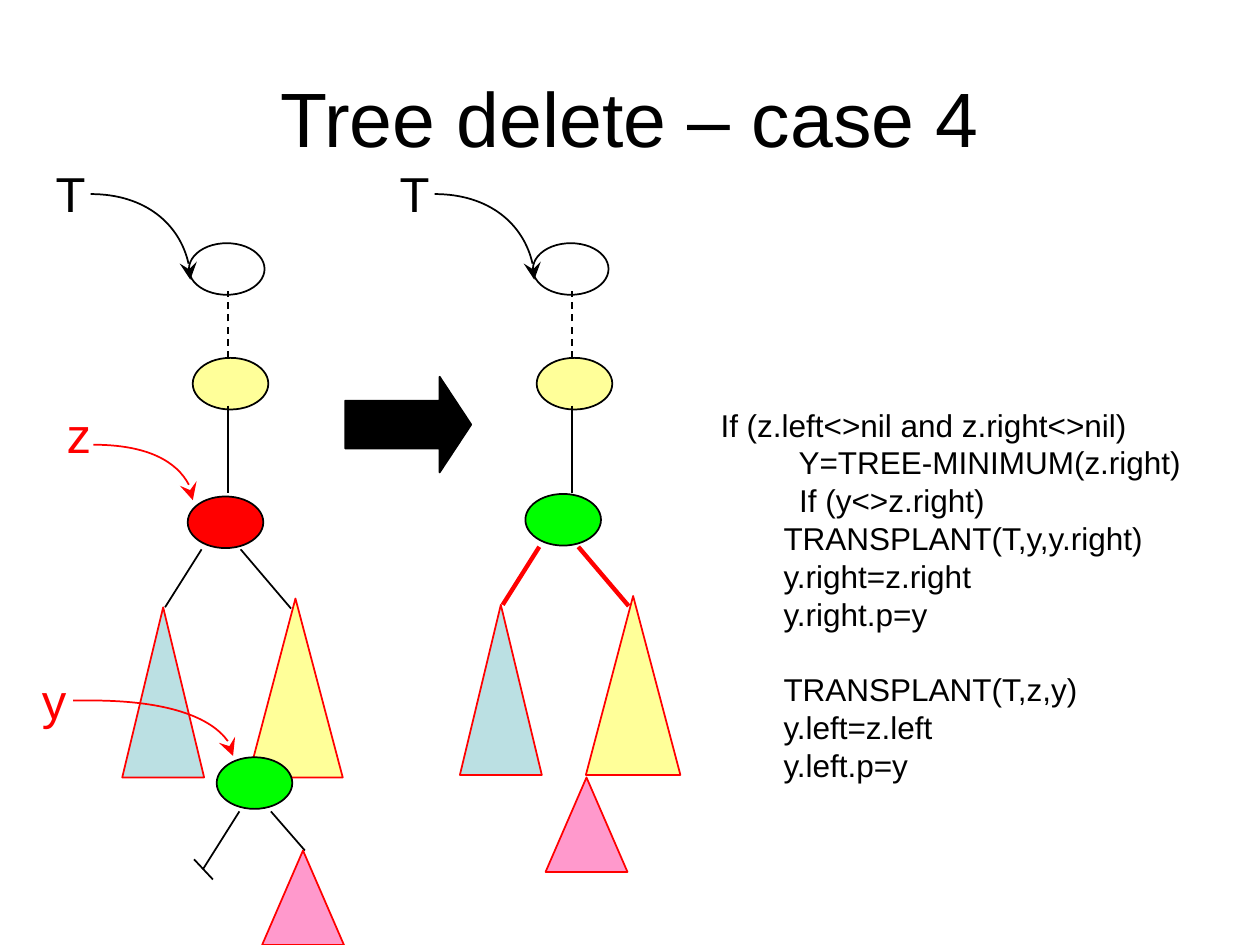
from lxml.etree import SubElement
from pptx import Presentation
from pptx.dml.color import RGBColor
from pptx.enum.dml import MSO_LINE
from pptx.enum.shapes import MSO_CONNECTOR, MSO_SHAPE
from pptx.enum.text import MSO_ANCHOR, MSO_AUTO_SIZE, PP_ALIGN
from pptx.oxml.ns import qn
from pptx.util import Inches, Pt

COLORS = {
    "black": "000000", "red": "FF0000", "yellow": "FFFF99",
    "blue": "BBE0E3", "green": "00FF00", "pink": "FF99CC",
}
TITLE = "Tree delete – case 4"
CODE = [
    "If (z.left<>nil and z.right<>nil)",
    "         Y=TREE-MINIMUM(z.right)",
    "         If (y<>z.right)",
    "      \tTRANSPLANT(T,y,y.right)",
    "\ty.right=z.right",
    "\ty.right.p=y",
    "",
    "\tTRANSPLANT(T,z,y)",
    "\ty.left=z.left",
    "\ty.left.p=y",
]
NODE_SIZE = (0.6, 0.41)
SMALL_SUBTREE = (0.65, 0.75)
# Horizontal shift of the tree, place of its lower node, node and edge look
TREES = [
    (0, (1.49, 3.94), "red", "black", 1),
    (2.73, (4.17, 3.92), "green", "red", 2.5),
]
Y_NODE = (1.72, 6.01)
Y_EDGES = [
    ((2.15, 6.44), (2.42, 6.75)),
    ((1.9, 6.44), (1.61, 6.9)),
    ((1.54, 6.82), (1.69, 6.98)),
]
SMALL_SUBTREES = [(2.08, 6.75), (4.33, 6.17)]
# Label, box, wrapped, colour
POINTER_LABELS = [
    ("z", (0.43, 3.16, 0.39, 0.57), False),
    ("y", (0.08, 5.27, 0.7, 0.57), True),
]
# Start, end, length of the flat beginning
POINTERS = [((0.74, 3.53), (1.53, 3.97), 0), ((0.58, 5.56), (1.85, 6), 0.14)]

presentation = Presentation()
presentation.slide_width, presentation.slide_height = Inches(10), Inches(7.5)
slide = presentation.slides.add_slide(presentation.slide_layouts[5])


def color(name):
    return RGBColor.from_string(COLORS[name])


def add_figure(kind, position, size, fill=None, line="black"):
    shape = slide.shapes.add_shape(kind, *map(Inches, (*position, *size)))
    shape.shadow.inherit = False
    if fill:
        shape.fill.solid()
        shape.fill.fore_color.rgb = color(fill)
    else:
        shape.fill.background()
    shape.line.color.rgb = color(line)
    shape.line.width = Pt(1)
    return shape


def add_node(position, fill=None):
    add_figure(MSO_SHAPE.OVAL, position, NODE_SIZE, fill)


def add_subtree(position, size, fill):
    add_figure(MSO_SHAPE.ISOSCELES_TRIANGLE, position, size, fill, "red")


def add_edge(start, end, line="black", width=1, dashed=False):
    edge = slide.shapes.add_connector(
        MSO_CONNECTOR.STRAIGHT, *map(Inches, (*start, *end)))
    edge.line.color.rgb = color(line)
    edge.line.width = Pt(width)
    if dashed:
        edge.line.dash_style = MSO_LINE.DASH
    SubElement(edge._element.spPr, qn("a:effectLst"))


def add_pointer(start, end, line, flat=0):
    """Draw a quarter-ellipse arrow that leaves level and arrives downwards."""
    builder = slide.shapes.build_freeform(Inches(start[0]), Inches(start[1]))
    builder.add_line_segments([tuple(map(Inches, end))], close=False)
    shape = builder.convert_to_shape()
    shape.shadow.inherit = False
    shape.fill.background()
    shape.line.color.rgb = color(line)
    shape.line.width = Pt(1)

    path = shape._element.spPr.find(".//" + qn("a:path"))
    path.remove(path.find(qn("a:lnTo")))
    width, height = end[0] - start[0], end[1] - start[1]
    if flat:
        add_point(SubElement(path, qn("a:lnTo")), flat, 0)
    curve = SubElement(path, qn("a:cubicBezTo"))
    add_point(curve, flat + 0.55 * (width - flat), 0)
    add_point(curve, width, 0.45 * height)
    add_point(curve, width, height)
    SubElement(shape.line._get_or_add_ln(), qn("a:tailEnd"),
               type="stealth", w="lg", len="lg")


def add_point(parent, x, y):
    SubElement(parent, qn("a:pt"), x=str(Inches(x)), y=str(Inches(y)))


def add_text(lines, box, size, name="black", wrap=False, align=PP_ALIGN.CENTER):
    frame = slide.shapes.add_textbox(*map(Inches, box)).text_frame
    frame.word_wrap = wrap
    frame.auto_size = MSO_AUTO_SIZE.SHAPE_TO_FIT_TEXT
    frame.text = "\n".join(lines)
    for paragraph in frame.paragraphs:
        paragraph.alignment = align
        format_font(paragraph.font, size, name)


def format_font(font, size, name="black"):
    font.name = "Arial"
    font.size = Pt(size)
    font.color.rgb = color(name)


def add_tree(shift, node, fill, edge_color, edge_width):
    """Draw the chain from the root to the lower node and its two subtrees."""
    x, y = node
    add_node((1.5 + shift, 1.93))
    add_node((1.53 + shift, 2.84), "yellow")
    add_node(node, fill)
    add_subtree((x - 0.52, y + 0.88), (0.65, 1.35), "blue")
    add_subtree((x + 0.48, y + 0.81), (0.75, 1.42), "yellow")

    spine = 1.81 + shift
    add_edge((spine, 2.84), (spine, 2.31), dashed=True)
    add_edge((spine, 3.22), (spine, 3.91))
    add_edge((x + 0.42, y + 0.42), (x + 0.82, y + 0.89), edge_color, edge_width)
    add_edge((x + 0.11, y + 0.42), (x - 0.18, y + 0.88), edge_color, edge_width)

    add_text(["T"], (0.34 + shift, 1.25, 0.44, 0.57), 28)
    add_pointer((0.72 + shift, 1.54), (1.51 + shift, 2.22), "black")


title = slide.shapes.title
title.left, title.top, title.width, title.height = map(
    Inches, (0.5, 0.3, 9, 1.25))
title.text_frame.text = TITLE
title.text_frame.vertical_anchor = MSO_ANCHOR.MIDDLE
title.text_frame.paragraphs[0].alignment = PP_ALIGN.CENTER
format_font(title.text_frame.paragraphs[0].font, 44)

for tree in TREES:
    add_tree(*tree)

for label, box, wrap in POINTER_LABELS:
    add_text([label], box, 28, "red", wrap)
for start, end, flat in POINTERS:
    add_pointer(start, end, "red", flat)

add_node(Y_NODE, "green")
for start, end in Y_EDGES:
    add_edge(start, end)
for position in SMALL_SUBTREES:
    add_subtree(position, SMALL_SUBTREE, "pink")

arrow = add_figure(MSO_SHAPE.RIGHT_ARROW, (2.74, 2.99), (1, 0.76), "black")
arrow.adjustments[1] = 0.33
add_text(CODE, (5.62, 3.17, 4.11, 3.1), 18, align=PP_ALIGN.LEFT)

presentation.save("out.pptx")
